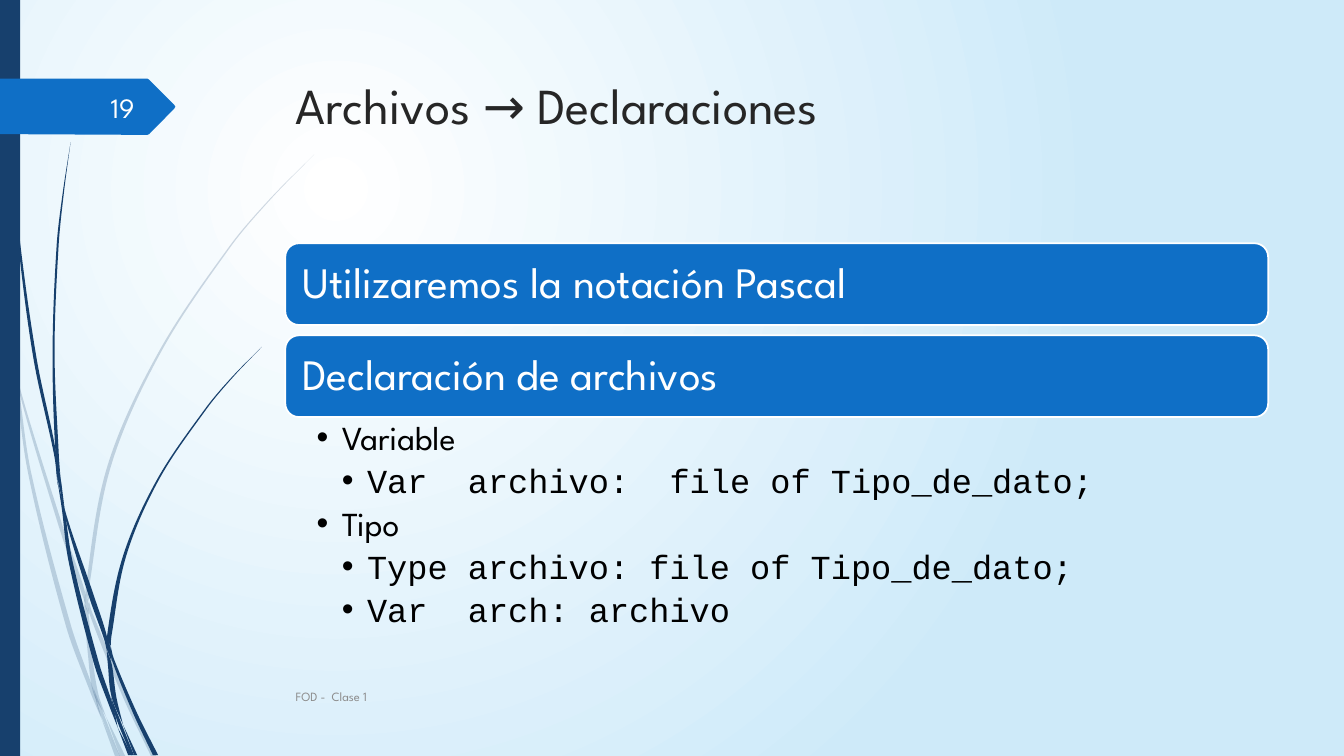
from lxml import etree
from pptx import Presentation, util as u
from pptx.dml.color import RGBColor
from pptx.enum import shapes, text
from pptx.oxml import ns

COLORS = {
    "navy": "17406D", "blue": "0F6FC6", "white": "FFFFFF", "sky": "CEEAF9",
    "ink": "262626", "black": "000000", "grey": "8C8C8C", "number": "FEFFFF",
}
SANS, MONO = "League Spartan", "Courier New"

FADED_BLADES = [
    [(0, 7.16, 0), (.17, 8.18, .08), (.28, 8.89, 0)],
    [(.36, 8.76, 0), (.42, 9.55, .04), (1.52, 13.23, .1), (2.08, 14.87, .1),
     (2.15, 15.21, 0)],
    [(2.24, 15.14, 0), (2.29, 15.45, .08), (3.18, 17.6, .13), (3.87, 19.05, .13)],
    [(2.67, 18.06, 0), (3.09, 19.05, .13)],
    [(.28, 8.89, 0), (.41, 9.55, .05), (.75, 11.93, .08), (1.72, 15.75, .13),
     (2.31, 17.4, .1), (2.57, 18.14, 0)],
    [(2.13, 15.21, 0), (2.18, 15.47, .1), (2.26, 16.41, .1), (2.41, 17.45, .12),
     (2.67, 18.06, 0)],
    [(7.92, 3.89, 0), (6.81, 5.02, .03), (5.8, 6.21, .04), (4.04, 8.85, .06),
     (2.76, 11.72, .09), (2.2, 14.83, .08), (2.24, 15.14, 0)],
    [(2.57, 18.14, 0), (2.96, 19.05, .13)],
    [(2.16, 14.88, 0), (2.18, 15.2, .1), (2.24, 15.49, 0)],
    [(2.36, 17.35, 0), (2.54, 17.92, .09), (3.02, 19.05, 0)],
]
DARK_BLADES = [
    [(.09, 0, .03), (.19, 2.79, .03), (.46, 5.92, .05), (.88, 9.02, .08),
     (1.4, 11.5, .06), (1.45, 12.22, 0)],
    [(1.52, 11.99, 0), (1.61, 12.83, .04), (2.3, 15.01, .13), (2.66, 16.08, .09),
     (2.69, 16.38, 0)],
    [(2.79, 16.28, 0), (2.84, 16.6, .06), (3.4, 17.96, .1), (3.92, 19.03, .13)],
    [(1.45, 12.12, 0), (1.59, 12.83, .06), (1.78, 14.15, .1), (2.43, 16.71, .13),
     (2.79, 17.75, .1), (2.97, 18.34, 0)],
    [(1.78, 3.58, 0), (1.59, 4.9, .03), (1.45, 6.22, .05), (1.35, 8.86, .05),
     (1.44, 11.43, .08), (1.52, 11.99, 0)],
    [(3.1, 18.26, 0), (3.42, 19.03, .08)],
    [(1.4, 11.4, 0), (1.48, 12, .08), (1.63, 12.83, 0)],
    [(6.6, 8.74, 0), (5.87, 9.49, .03), (5.19, 10.3, .04), (3.99, 12.07, .05),
     (3.14, 14.01, .08), (2.75, 16.05, .11), (2.79, 16.28, 0)],
    [(2.97, 18.34, 0), (3.28, 19.03, .1)],
    [(2.69, 16.38, 0), (2.77, 16.75, .1), (2.87, 17.55, .12), (3.1, 18.26, 0)],
    [(2.69, 16.03, 0), (2.74, 16.33, .1), (2.81, 16.66, 0)],
    [(2.79, 17.55, 0), (2.96, 18.08, .08), (3.34, 19.03, .07)],
]
NUMBER_TAG = [(0, 1.98), (3.71, 1.98), (3.76, 2.01), (4.39, 2.64), (4.42, 2.69),
              (4.39, 2.74), (3.76, 3.38), (3.71, 3.4), (0, 3.38)]
BARS = ["Utilizaremos la notación Pascal", "Declaración de archivos"]
DECLARATIONS = [
    (1, "Variable"),
    (2, "Var  archivo:  file of Tipo_de_dato;"),
    (1, "Tipo"),
    (2, "Type archivo: file of Tipo_de_dato;"),
    (2, "Var  arch: archivo"),
]


def bezier_edge(blade, side):
    edge = [(x + side * w / 2, y) for x, y, w in blade]
    padded = [edge[0], *edge, edge[-1]]
    slopes = [(c[0] - a[0]) / (c[1] - a[1]) for a, c in zip(padded, padded[2:])]
    curve = [edge[0]]
    for (x, y), (x2, y2), slope, slope2 in zip(edge, edge[1:], slopes, slopes[1:]):
        third = (y2 - y) / 3
        curve += [(x + slope * third, y + third),
                  (x2 - slope2 * third, y2 - third), (x2, y2)]
    return curve


class SlideBuilder:
    def __init__(self, deck):
        self.slide = deck.slides.add_slide(deck.slide_layouts[1])
        self.shapes = self.slide.shapes

    def color(self, name):
        return RGBColor.from_string(COLORS[name])

    def place(self, shape, *box):
        shape.left, shape.top, shape.width, shape.height = map(u.Cm, box)

    def paint(self, shape, color):
        shape.shadow.inherit = False
        shape.fill.solid()
        shape.fill.fore_color.rgb = self.color(color)
        shape.line.fill.background()

    def frame(self, shape, anchor, left=.25, top=.13, right=.25):
        frame = shape.text_frame
        frame.word_wrap = True
        frame.auto_size = text.MSO_AUTO_SIZE.NONE
        frame.vertical_anchor = anchor
        frame.margin_left, frame.margin_right = u.Cm(left), u.Cm(right)
        frame.margin_top = frame.margin_bottom = u.Cm(top)
        return frame

    def style(self, paragraph, size, color, font=SANS, align=text.PP_ALIGN.LEFT):
        paragraph.alignment = align
        for run in paragraph.runs:
            run.font.name, run.font.size = font, u.Pt(size)
            run.font.color.rgb = self.color(color)

    def background(self, center, edge):
        fill = self.slide.background.fill
        fill.gradient()
        for stop, name, position in zip(fill.gradient_stops, (center, edge), (0, 1)):
            stop.color.rgb = self.color(name)
            stop.position = position
        gradient = self.slide.background._cSld.find(".//" + ns.qn("a:gradFill"))
        radial = etree.Element(ns.qn("a:path"), path="circle")
        etree.SubElement(radial, ns.qn("a:fillToRect"),
                         l="50000", t="50000", r="100000", b="100000")
        gradient.replace(gradient.find(ns.qn("a:lin")), radial)

    def outline(self, points, color):
        corners = [(u.Cm(x), u.Cm(y)) for x, y in points]
        builder = self.shapes.build_freeform(*corners[0])
        builder.add_line_segments(corners[1:])
        outline = builder.convert_to_shape()
        self.paint(outline, color)
        return outline

    def blade(self, points, alpha=None):
        left, right = bezier_edge(points, -1), bezier_edge(points, 1)
        properties = self.outline(left + right[::-1], "navy")._element.spPr
        lines = list(properties.iter(ns.qn("a:lnTo")))
        across = len(left) - 1
        for edge in (lines[:across], lines[across + 1:]):
            for group in zip(edge[::3], edge[1::3], edge[2::3]):
                curve = etree.Element(ns.qn("a:cubicBezTo"))
                group[0].addprevious(curve)
                for line in group:
                    curve.append(line[0])
                    line.getparent().remove(line)
        if alpha:
            tint = properties.find(".//" + ns.qn("a:srgbClr"))
            etree.SubElement(tint, ns.qn("a:alpha"), val=str(alpha * 1000))

    def block(self, kind, color, *box):
        block = self.shapes.add_shape(kind, *map(u.Cm, box))
        self.paint(block, color)
        return block

    def bar(self, words, *box):
        bar = self.block(shapes.MSO_SHAPE.ROUNDED_RECTANGLE, "blue", *box)
        bar.line.color.rgb = self.color("white")
        bar.line.width = u.Pt(1.25)
        frame = self.frame(bar, text.MSO_ANCHOR.MIDDLE, .33, .33, .33)
        frame.text = words
        frame.paragraphs[0].line_spacing = .9
        self.style(frame.paragraphs[0], 31, "white")

    def label(self, words, size, color, align, *box):
        label = self.shapes.add_textbox(*map(u.Cm, box))
        frame = self.frame(label, text.MSO_ANCHOR.MIDDLE)
        frame.text = words
        self.style(frame.paragraphs[0], size, color, align=align)

    def title(self, words, *box):
        self.place(self.shapes.title, *box)
        frame = self.frame(self.shapes.title, text.MSO_ANCHOR.TOP)
        frame.text = words
        self.style(frame.paragraphs[0], 36, "ink")

    def bullets(self, items, *box):
        body = self.slide.placeholders[1]
        self.place(body, *box)
        frame = self.frame(body, text.MSO_ANCHOR.TOP, .79, .1, .61)
        frame.text = "\n".join(words for _, words in items)
        for paragraph, (level, _) in zip(frame.paragraphs, items):
            paragraph.level = level
            paragraph.line_spacing = .9
            paragraph.space_before, paragraph.space_after = u.Pt(0), u.Pt(4.8)
            self.style(paragraph, 24, "black", SANS if level == 1 else MONO)
            properties = paragraph._p.get_or_add_pPr()
            properties.set("marL", str(u.Cm(.635 * level)))
            properties.set("indent", str(-u.Cm(.635)))
            etree.SubElement(properties, ns.qn("a:buFont"), typeface="Arial")
            etree.SubElement(properties, ns.qn("a:buChar"), char="•")


def main():
    deck = Presentation()
    deck.slide_width, deck.slide_height = u.Cm(33.87), u.Cm(19.05)
    page = SlideBuilder(deck)
    page.background("white", "sky")
    for points in FADED_BLADES:
        page.blade(points, alpha=20)
    for points in DARK_BLADES:
        page.blade(points)
    page.block(shapes.MSO_SHAPE.RECTANGLE, "navy", 0, 0, .51, 19.05)
    page.outline(NUMBER_TAG, "blue")
    page.title("Archivos → Declaraciones", 7.2, 1.73, 24.77, 3.56)
    for row, words in enumerate(BARS):
        page.bar(words, 7.19, 6.13 + 2.32 * row, 24.77, 2.06)
    page.bullets(DECLARATIONS, 7.19, 10.51, 24.77, 5.72)
    page.label("FOD -  Clase 1", 9, "grey", text.PP_ALIGN.LEFT, 7.2, 17.04, 21.16, 1.02)
    page.label("19", 20, "number", text.PP_ALIGN.RIGHT, 1.48, 2.2, 2.16, 1.02)
    deck.save("out.pptx")


if __name__ == "__main__":
    main()
